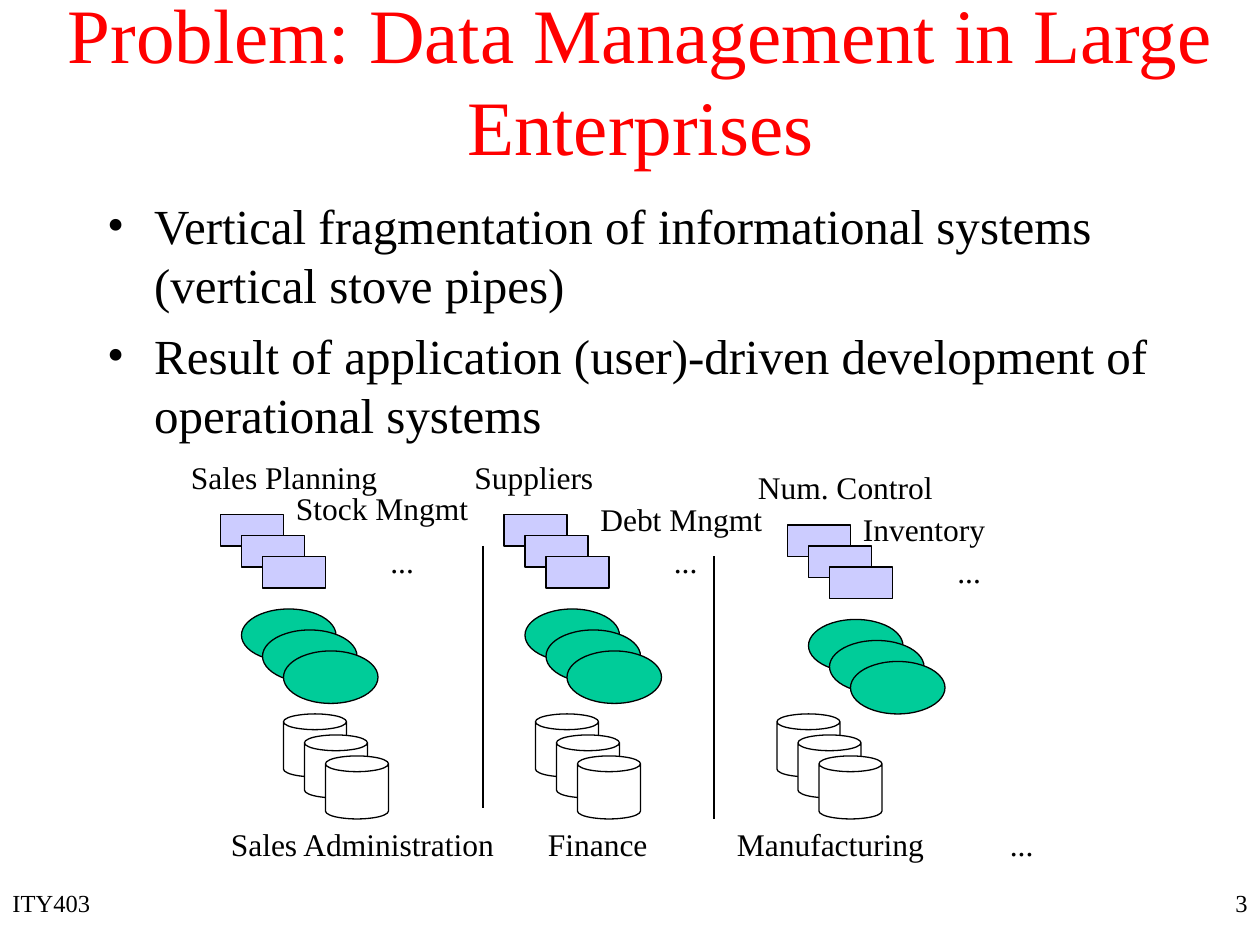
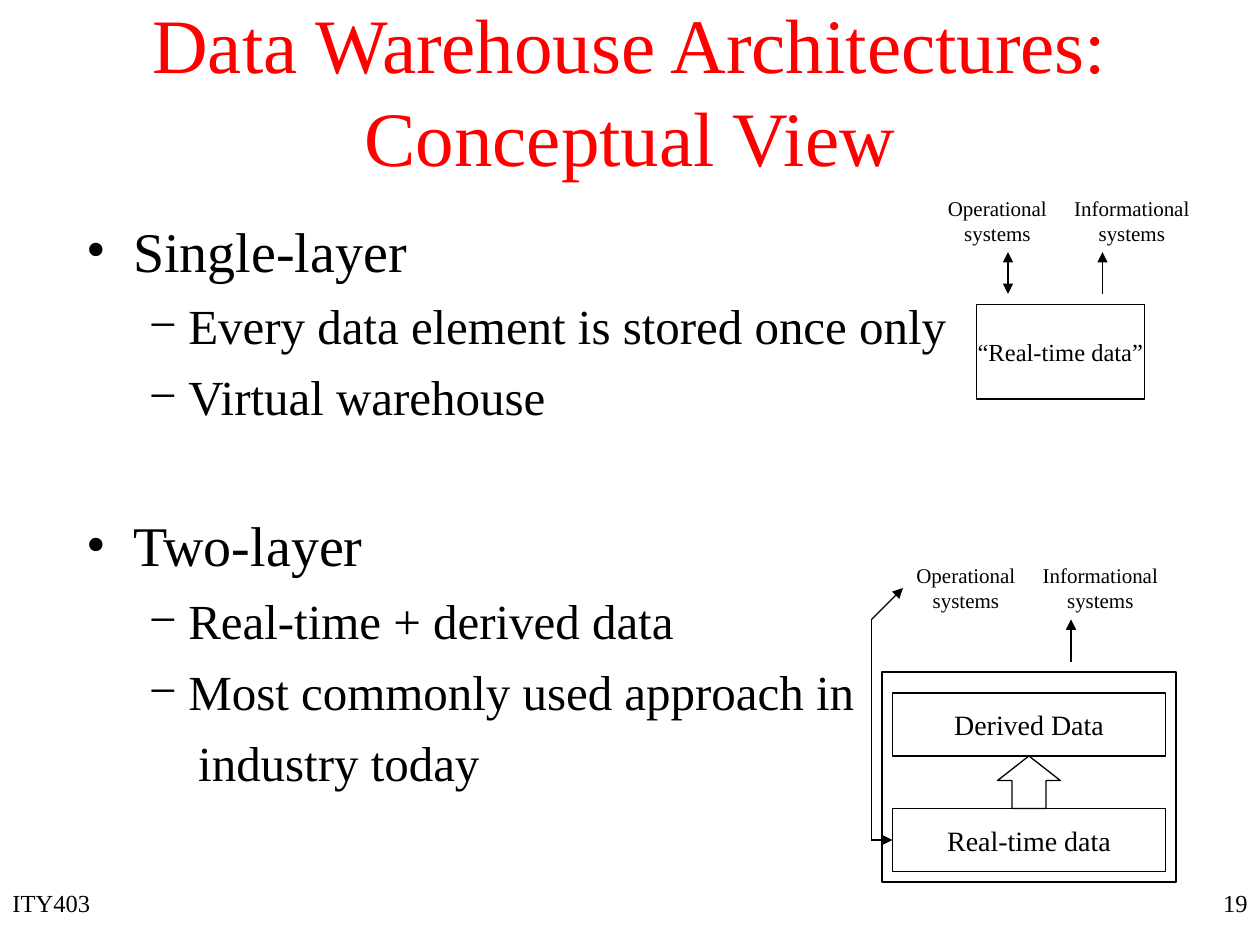
from dataclasses import dataclass

from lxml import etree
from pptx import Presentation
from pptx import util as u
from pptx.dml.color import RGBColor
from pptx.enum import shapes, text
from pptx.oxml.ns import qn

MSO = shapes.MSO_SHAPE
ALIGN = text.PP_ALIGN


@dataclass(frozen=True)
class Theme:
    """Colours, font and type sizes shared by the slides."""

    font: str = "Times New Roman"
    ink: str = "000000"
    paper: str = "FFFFFF"
    heading: str = "FF0000"
    application: str = "CCCCFF"
    process: str = "00CC99"
    title: int = 44
    level_one: int = 32
    level_two: int = 28
    label: int = 18
    box: int = 16
    footer: int = 14
    caption: int = 12
    line: float = 0.75


THEME = Theme()


@dataclass(frozen=True)
class ListItem:
    """One line of a bulleted list, with its spacing and indents."""

    words: str
    size: int = THEME.level_two
    before: float = 7
    level: int = 0
    bullet: str = "•"
    margin: float = 0.95
    indent: float = -0.95


def grid(steps):
    """Return a length on the grid of twelve steps to 2.54 cm."""
    return u.Cm(2.54 / 12 * steps)


def place(box):
    """Turn a box in grid steps into lengths."""
    return [grid(steps) for steps in box]


def apply(target, **values):
    """Set each named value on the target."""
    for name, value in values.items():
        setattr(target, name, value)


def move(shape, box):
    """Move and size a shape to a box in grid steps."""
    apply(shape, **dict(zip(("left", "top", "width", "height"), place(box))))


def style_run(run, size, color=THEME.ink):
    """Give a run the theme font, a size and a colour."""
    apply(run.font, name=THEME.font, size=u.Pt(size))
    run.font.color.rgb = RGBColor.from_string(color)


def write(shape, lines, size, color=THEME.ink, align=ALIGN.LEFT, **frame_values):
    """Write lines of text into a shape as paragraphs."""
    frame = shape.text_frame
    apply(frame, **frame_values)
    for number, words in enumerate(lines):
        paragraph = frame.add_paragraph() if number else frame.paragraphs[0]
        paragraph.alignment = align
        run = paragraph.add_run()
        run.text = words
        style_run(run, size, color)


def add_label(slide, box, lines, size=THEME.label, align=ALIGN.LEFT):
    """Add a text box that does not wrap."""
    write(slide.shapes.add_textbox(*place(box)), lines, size, align=align,
          word_wrap=False, auto_size=text.MSO_AUTO_SIZE.SHAPE_TO_FIT_TEXT)


def add_block(slide, kind, box, fill=THEME.paper, words="", size=THEME.box):
    """Add an outlined shape, with centred text if there is any."""
    shape = slide.shapes.add_shape(kind, *place(box))
    shape.shadow.inherit = False
    shape.fill.solid()
    shape.fill.fore_color.rgb = RGBColor.from_string(fill)
    shape.line.color.rgb = RGBColor.from_string(THEME.ink)
    shape.line.width = u.Pt(THEME.line)
    if words:
        write(shape, [words], size, align=ALIGN.CENTER, word_wrap=False,
              vertical_anchor=text.MSO_ANCHOR.MIDDLE)
    return shape


def add_line(slide, start, end, heads=()):
    """Add a straight line with arrowheads at the named ends."""
    connector = slide.shapes.add_connector(
        shapes.MSO_CONNECTOR.STRAIGHT, *place(start + end))
    connector.line.color.rgb = RGBColor.from_string(THEME.ink)
    connector.line.width = u.Pt(THEME.line)
    outline = connector.line._get_or_add_ln()
    for head in heads:
        etree.SubElement(outline, qn(f"a:{head}"), type="triangle")
    etree.SubElement(connector._element.spPr, qn("a:effectLst"))
    return connector


def add_bullet(paragraph, item):
    """Set the indents and the bullet character of a paragraph."""
    properties = paragraph._p.get_or_add_pPr()
    properties.set("marL", str(u.Cm(item.margin)))
    properties.set("indent", str(u.Cm(item.indent)))
    if not item.bullet:
        etree.SubElement(properties, qn("a:buNone"))
        return
    color = etree.SubElement(properties, qn("a:buClr"))
    etree.SubElement(color, qn("a:srgbClr"), val=THEME.ink)
    etree.SubElement(properties, qn("a:buFont"), typeface=THEME.font)
    etree.SubElement(properties, qn("a:buChar"), char=item.bullet)


def fill_list(placeholder, box, items):
    """Move the body placeholder and fill it with list items."""
    move(placeholder, box)
    frame = placeholder.text_frame
    frame.auto_size = text.MSO_AUTO_SIZE.NONE
    for number, item in enumerate(items):
        paragraph = frame.add_paragraph() if number else frame.paragraphs[0]
        apply(paragraph, level=item.level, alignment=ALIGN.LEFT,
              space_before=u.Pt(item.before if number else 0))
        add_bullet(paragraph, item)
        run = paragraph.add_run()
        run.text = item.words
        style_run(run, item.size)


def add_base_slide(presentation, title, title_box, items, body_box, number):
    """Add a slide with its title, list and footer."""
    slide = presentation.slides.add_slide(presentation.slide_layouts[1])
    heading, body = slide.placeholders
    move(heading, title_box)
    write(heading, [title], THEME.title, THEME.heading, ALIGN.CENTER,
          auto_size=text.MSO_AUTO_SIZE.NONE,
          vertical_anchor=text.MSO_ANCHOR.MIDDLE)
    fill_list(body, body_box, items)
    for box, words, align in (((0, 84, 38, 6), "ITY403", ALIGN.LEFT),
                              ((95, 84, 25, 6), str(number), ALIGN.RIGHT)):
        write(slide.shapes.add_textbox(*place(box)), [words], THEME.footer,
              align=align, word_wrap=True)
    return slide


def add_stack(slide, kind, box, fill):
    """Add three equal shapes, each a step further down and right."""
    left, top, width, height = box
    for step in (0, 2, 4):
        add_block(slide, kind, (left + step, top + step, width, height), fill)


def add_stove_pipe(slide, origin, first, second, second_offset):
    """Add the applications and processes of one department."""
    left, top = origin
    add_stack(slide, MSO.OVAL, (left + 6, top + 15, 9, 5), THEME.process)
    add_stack(slide, MSO.FLOWCHART_PROCESS, (left + 4, top + 6, 6, 3),
              THEME.application)
    labels = ((first, (0, 0)), (second, second_offset), (("...", 5), (19, 8)))
    for (words, width), (right, down) in labels:
        add_label(slide, (left + right, top + down, width, 4.8), [words])


def add_fragmentation_slide(presentation):
    """Add the slide on vertical fragmentation."""
    items = [
        ListItem("Vertical fragmentation of informational systems "
                 "(vertical stove pipes)"),
        ListItem("Result of application (user)-driven development of "
                 "operational systems"),
    ]
    slide = add_base_slide(
        presentation, "Problem: Data Management in Large Enterprises",
        (5, 0, 112, 15), items, (9, 18, 102, 31), 3)
    departments = (("Sales Administration", 20.8, 28), ("Finance", 51, 12.2),
                   ("Manufacturing", 69, 20.5), ("...", 95, 5))
    for words, left, width in departments:
        add_label(slide, (left, 78, width, 4.8), [words])
    for left in (27, 51, 74):
        add_stack(slide, MSO.CAN, (left, 68, 6, 6), THEME.paper)
    for left, top in ((46, 52), (68, 53)):
        add_line(slide, (left, top), (left, top + 25))
    pipes = (
        ((17, 43), ("Sales Planning", 20.5), ("Stock Mngmt", 19.2), (10, 3)),
        ((44, 43), ("Suppliers", 14), ("Debt Mngmt", 18.2), (12, 4)),
        ((71, 44), ("Num. Control", 19.5), ("Inventory", 14.4), (10, 4)),
    )
    for pipe in pipes:
        add_stove_pipe(slide, *pipe)


def add_system_captions(slide, left, top):
    """Add the two system captions and the arrow to the second one."""
    for words, right, width in (("Operational", 0, 12),
                                ("Informational", 12, 13.6)):
        add_label(slide, (left + right, top, width, 6), [words, "systems"],
                  THEME.caption, ALIGN.CENTER)
    add_line(slide, (left + 16, top + 6), (left + 16, top + 10), ["headEnd"])


def add_single_layer(slide, left, top):
    """Draw the single-layer architecture."""
    add_block(slide, MSO.RECTANGLE, (left + 4, top + 11, 16, 9),
              words="“Real-time data”", size=THEME.footer)
    add_system_captions(slide, left, top)
    add_line(slide, (left + 7, top + 6), (left + 7, top + 10),
             ["headEnd", "tailEnd"])


def add_two_layer(slide, left, top):
    """Draw the two-layer architecture."""
    add_block(slide, MSO.RECTANGLE, (left - 2, top + 11, 28, 20))
    add_block(slide, MSO.RECTANGLE, (left - 1, top + 13, 26, 6),
              words="Derived Data")
    real_time = add_block(slide, MSO.RECTANGLE, (left - 1, top + 24, 26, 6),
                          words="Real-time data")
    add_system_captions(slide, left, top)
    arrow = add_block(slide, MSO.UP_ARROW, (left + 9, top + 19, 6, 5))
    arrow.adjustments[0], arrow.adjustments[1] = 0.54, 0.47
    bend, corner = (left - 3, top + 6), (left - 3, top + 27)
    add_line(slide, (left, top + 3), bend, ["headEnd"])
    add_line(slide, bend, corner)
    add_line(slide, corner, (left - 1, top + 27),
             ["tailEnd"]).end_connect(real_time, 1)


def add_architecture_slide(presentation):
    """Add the slide on warehouse architectures."""
    heading = {"size": THEME.level_one, "before": 48.6}
    detail = {"level": 1, "bullet": "−", "margin": 2.06, "indent": -0.79}
    continuation = {"level": 1, "bullet": "", "margin": 2.26, "indent": 0}
    items = [
        ListItem("Single-layer", **heading),
        ListItem("Every data element is stored once only", **detail),
        ListItem("Virtual warehouse", **detail),
        ListItem("Two-layer", **heading),
        ListItem("Real-time + derived data", **detail),
        ListItem("Most commonly used approach in", **detail),
        ListItem("industry today", **continuation),
    ]
    slide = add_base_slide(
        presentation, "Data Warehouse Architectures: Conceptual View",
        (9, 0, 102, 17), items, (7, 20, 102, 59), 19)
    add_single_layer(slide, 89, 18)
    add_two_layer(slide, 86, 53)


def main():
    """Build the presentation and save it."""
    presentation = Presentation()
    apply(presentation, slide_width=grid(120), slide_height=grid(90))
    add_fragmentation_slide(presentation)
    add_architecture_slide(presentation)
    presentation.save("out.pptx")


if __name__ == "__main__":
    main()
